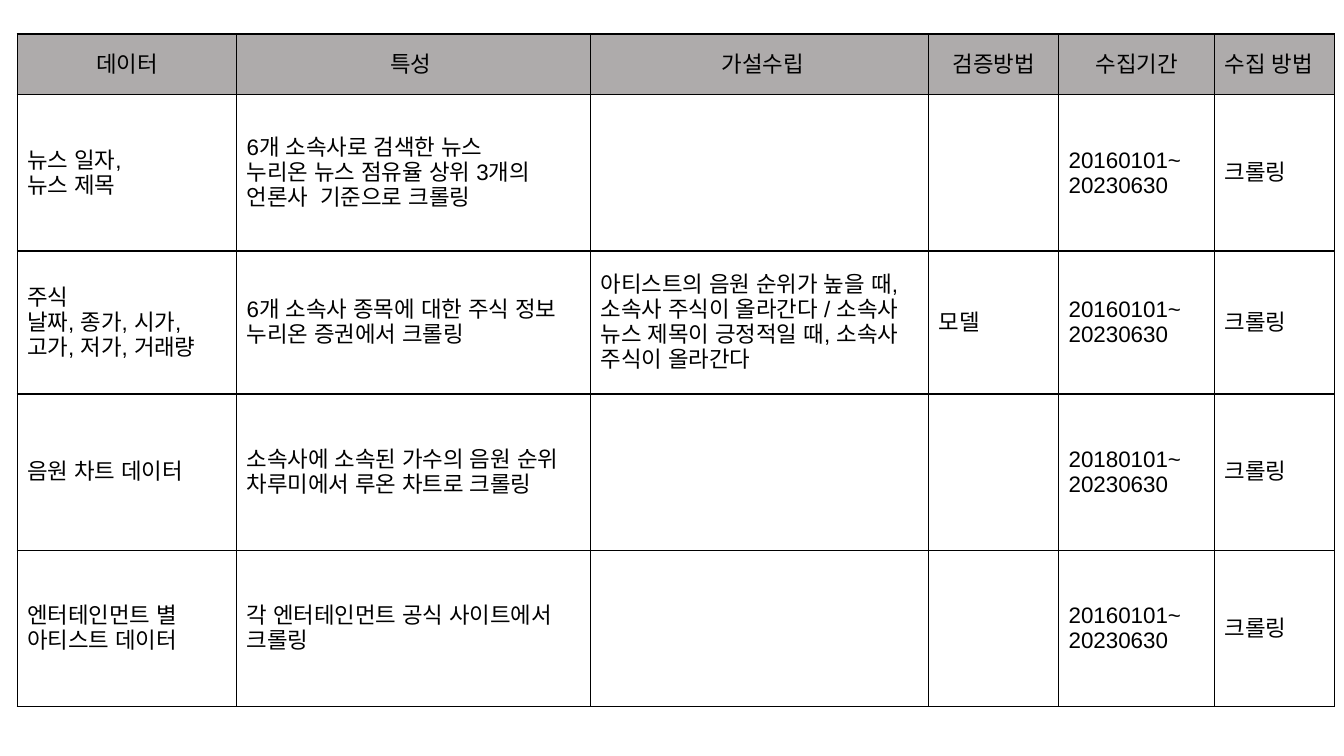
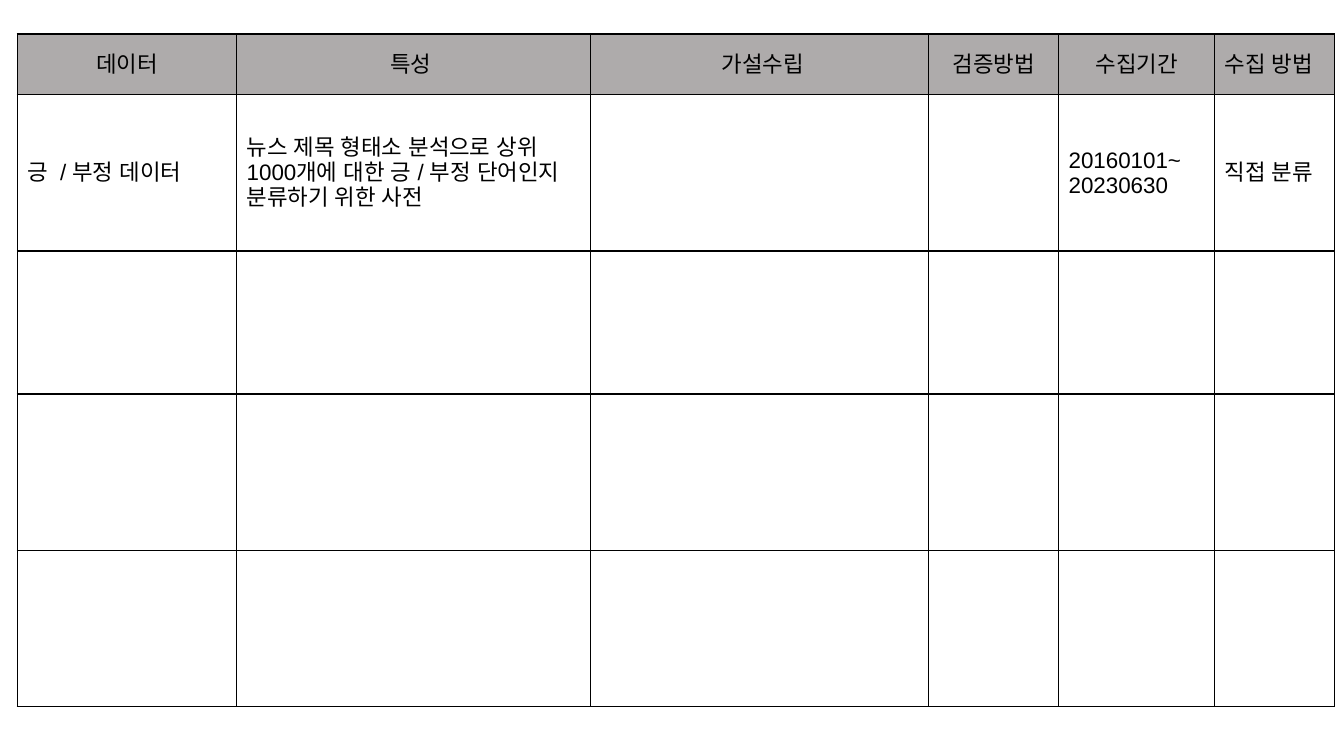
import dataclasses

import lxml.etree
import pptx
import pptx.dml.color
import pptx.enum.text
import pptx.oxml
import pptx.oxml.ns
import pptx.slide
import pptx.table
import pptx.util

Pt = pptx.util.Pt
Color = pptx.dml.color.RGBColor
Align = pptx.enum.text.PP_ALIGN


@dataclasses.dataclass(frozen=True)
class Theme:
    font: str = "Arial"
    size: float = 16
    rule: float = 1
    ink: str = "000000"
    head: str = "AEABAB"
    body: str = "FFFFFF"


@dataclasses.dataclass(frozen=True)
class Column:
    title: str
    width: float
    align: Align = Align.CENTER
    lead: str = ""


@dataclasses.dataclass(frozen=True)
class Entry:
    data: str = ""
    trait: str = ""
    guess: str = ""
    test: str = ""
    span: str = ""
    method: str = ""


THEME = Theme()
LEFT, TOP = 12.24, 24.3
HEIGHTS = (43.4, 111.6, 102.2, 111.6, 111.6)
COLUMNS = (
    Column("데이터", 156.8),
    Column("특성 ", 252.8),
    Column("가설수립", 241.7, lead=" "),
    Column("검증방법", 92.6),
    Column("수집기간", 111.6),
    Column("수집 방법", 85.8, Align.LEFT),
)
LONG = "20160101~\n20230630"
SHORT = "20180101~\n20230630"
CRAWL = "크롤링"
PAGES = (
    (
        Entry(
            "뉴스 일자,\n뉴스 제목",
            "6개 소속사로 검색한 뉴스\n"
            "누리온 뉴스 점유율 상위 3개의 언론사  기준으로 크롤링",
            span=LONG, method=CRAWL,
        ),
        Entry(
            "주식\n날짜, 종가, 시가, 고가, 저가, 거래량",
            "6개 소속사 종목에 대한 주식 정보\n누리온 증권에서 크롤링",
            "아티스트의 음원 순위가 높을 때,\n"
            "소속사 주식이 올라간다 / 소속사 뉴스 제목이 긍정적일 때, "
            "소속사 주식이 올라간다",
            "모델", LONG, CRAWL,
        ),
        Entry(
            "음원 차트 데이터",
            "소속사에 소속된 가수의 음원 순위 차루미에서 루온 차트로 크롤링",
            span=SHORT, method=CRAWL,
        ),
        Entry(
            "엔터테인먼트 별 아티스트 데이터",
            "각 엔터테인먼트 공식 사이트에서 크롤링",
            span=LONG, method=CRAWL,
        ),
    ),
    (
        Entry(
            "긍  / 부정 데이터 ",
            "뉴스 제목 형태소 분석으로 상위 1000개에 대한 긍 / 부정 "
            "단어인지 분류하기 위한 사전",
            span=LONG, method="직접 분류",
        ),
        Entry(),
        Entry(),
        Entry(),
    ),
)


def add_run(para, text: str, bold: bool = False) -> None:
    run = para.add_run()
    run.text = text
    run.font.name = THEME.font
    run.font.size = Pt(THEME.size)
    run.font.bold = bold
    run.font.color.rgb = Color.from_string(THEME.ink)
    east = lxml.etree.SubElement(
        run._r.get_or_add_rPr(), pptx.oxml.ns.qn("a:ea")
    )
    east.set("typeface", THEME.font)


def style_cell(cell: pptx.table._Cell, fill: str) -> None:
    props = cell._tc.get_or_add_tcPr()
    for side in "LRTB":
        props.append(pptx.oxml.parse_xml(
            f'<a:ln{side} {pptx.oxml.ns.nsdecls("a")} w="{Pt(THEME.rule)}">'
            f'<a:solidFill><a:srgbClr val="{THEME.ink}"/></a:solidFill>'
            f'</a:ln{side}>'
        ))
    cell.fill.solid()
    cell.fill.fore_color.rgb = Color.from_string(fill)
    cell.vertical_anchor = pptx.enum.text.MSO_ANCHOR.MIDDLE


def fill_head(cell: pptx.table._Cell, column: Column) -> None:
    style_cell(cell, THEME.head)
    para = cell.text_frame.paragraphs[0]
    para.alignment = column.align
    if column.lead:
        add_run(para, column.lead, bold=True)
    add_run(para, column.title)


def fill_body(cell: pptx.table._Cell, text: str) -> None:
    style_cell(cell, THEME.body)
    frame = cell.text_frame
    for index, line in enumerate(text.splitlines()):
        para = frame.add_paragraph() if index else frame.paragraphs[0]
        para.alignment = Align.LEFT
        add_run(para, line)


def add_grid(slide: pptx.slide.Slide, entries: tuple[Entry, ...]) -> None:
    width = sum(column.width for column in COLUMNS)
    table = slide.shapes.add_table(
        len(HEIGHTS), len(COLUMNS),
        Pt(LEFT), Pt(TOP), Pt(width), Pt(sum(HEIGHTS)),
    ).table
    table.first_row = False
    table.horz_banding = False
    for row, height in zip(table.rows, HEIGHTS):
        row.height = Pt(height)
    for index, column in enumerate(COLUMNS):
        table.columns[index].width = Pt(column.width)
        fill_head(table.cell(0, index), column)
    for row, entry in enumerate(entries, 1):
        for index, text in enumerate(dataclasses.astuple(entry)):
            fill_body(table.cell(row, index), text)


def main() -> None:
    deck = pptx.Presentation()
    deck.slide_width = Pt(960)
    deck.slide_height = Pt(540)
    for entries in PAGES:
        add_grid(deck.slides.add_slide(deck.slide_layouts[6]), entries)
    deck.save("out.pptx")


main()
